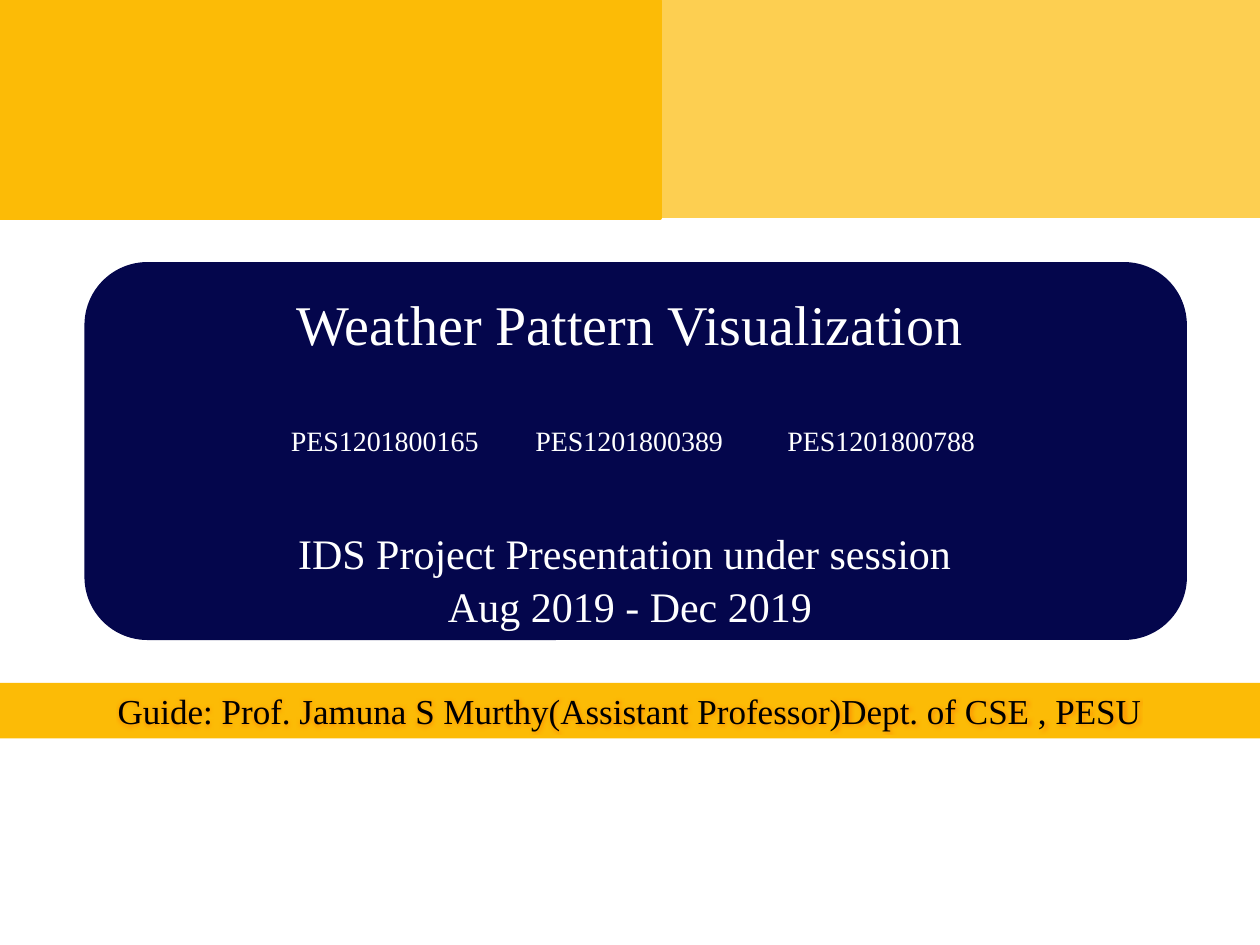
from dataclasses import dataclass

from lxml.etree import SubElement
from pptx import Presentation
from pptx.dml.color import RGBColor
from pptx.enum.shapes import MSO_SHAPE
from pptx.enum.text import MSO_ANCHOR, PP_ALIGN
from pptx.oxml.ns import qn
from pptx.util import Inches, Pt


@dataclass(frozen=True)
class Theme:
    font: str = "Times New Roman"
    gold: str = "FCBB06"
    pale_gold: str = "FDCF51"
    navy: str = "04064C"
    white: str = "FFFFFF"
    black: str = "000000"
    glow: str = "FF8000"
    title_size: int = 32
    session_size: int = 24
    guide_size: int = 20
    id_size: int = 16


THEME = Theme()


def add_panel(slide, box, fill, preset=MSO_SHAPE.RECTANGLE, outlined=False):
    panel = slide.shapes.add_shape(preset, *map(Inches, box))
    panel.shadow.inherit = False
    panel.fill.solid()
    panel.fill.fore_color.rgb = RGBColor.from_string(fill)
    if outlined:
        panel.line.color.rgb = RGBColor.from_string(fill)
        panel.line.width = Pt(2)
    else:
        panel.line.fill.background()
    return panel


def write_line(paragraph, text, size, color, space_before=0, align=PP_ALIGN.CENTER):
    paragraph.text = text
    paragraph.alignment = align
    paragraph.space_before = Pt(space_before)
    for run in paragraph.runs:
        run.font.name = THEME.font
        run.font.size = Pt(size)
        run.font.color.rgb = RGBColor.from_string(color)


def set_tab_stops(paragraph, positions):
    tab_list = SubElement(paragraph._p.get_or_add_pPr(), qn("a:tabLst"))
    for position in positions:
        SubElement(tab_list, qn("a:tab"), pos=str(Inches(position)), algn="l")


def add_text_glow(run):
    properties = run.font._element
    effects = SubElement(properties, qn("a:effectLst"))
    glow = SubElement(effects, qn("a:glow"), rad=str(Pt(4)))
    color = SubElement(glow, qn("a:srgbClr"), val=THEME.glow)
    SubElement(color, qn("a:alpha"), val="60000")
    properties.find(qn("a:solidFill")).addnext(effects)


def add_header(slide, box):
    left, top, width, height = box
    split = 5.25
    add_panel(slide, (left + split, top, width - split, height), THEME.pale_gold, outlined=True)
    add_panel(slide, (left, top + 0.01, split - 0.01, height), THEME.gold, outlined=True)


def add_title_card(slide, box):
    left, top, width, height = box
    add_panel(slide, box, THEME.navy, MSO_SHAPE.ROUNDED_RECTANGLE)
    title_box = (left + 0.08, top, width - 0.25, height)
    frame = slide.shapes.add_textbox(*map(Inches, title_box)).text_frame
    frame.word_wrap = True
    frame.vertical_anchor = MSO_ANCHOR.TOP
    frame.margin_top = Inches(0.22)

    student_ids = ("PES1201800165", "PES1201800389", "PES1201800788")
    id_row = "".join(f"\t{student_id}" for student_id in student_ids)
    lines = (
        ("Weather Pattern Visualization", THEME.title_size, 0, PP_ALIGN.CENTER),
        (id_row, THEME.id_size, 38, PP_ALIGN.LEFT),
        ("IDS Project Presentation under session ", THEME.session_size, 40, PP_ALIGN.CENTER),
        ("Aug 2019 - Dec 2019", THEME.session_size, 1.5, PP_ALIGN.CENTER),
    )
    for index, (text, size, gap, align) in enumerate(lines):
        paragraph = frame.add_paragraph() if index else frame.paragraphs[0]
        write_line(paragraph, text, size, THEME.white, gap, align)
    set_tab_stops(frame.paragraphs[1], (1.46, 3.4, 5.4))


def add_guide_bar(slide, box):
    frame = add_panel(slide, box, THEME.gold).text_frame
    frame.word_wrap = True
    frame.vertical_anchor = MSO_ANCHOR.MIDDLE
    guide = frame.paragraphs[0]
    write_line(
        guide,
        "Guide: Prof. Jamuna S Murthy(Assistant Professor)Dept. of CSE , PESU",
        THEME.guide_size,
        THEME.black,
    )
    add_text_glow(guide.runs[0])


def main():
    presentation = Presentation()
    presentation.slide_width = Inches(10)
    presentation.slide_height = Inches(7.5)
    slide = presentation.slides.add_slide(presentation.slide_layouts[6])
    add_guide_bar(slide, (0, 5.42, 10, 0.44))
    add_title_card(slide, (0.67, 2.08, 8.75, 3))
    add_header(slide, (0, 0, 10, 1.72))
    presentation.save("out.pptx")


if __name__ == "__main__":
    main()
